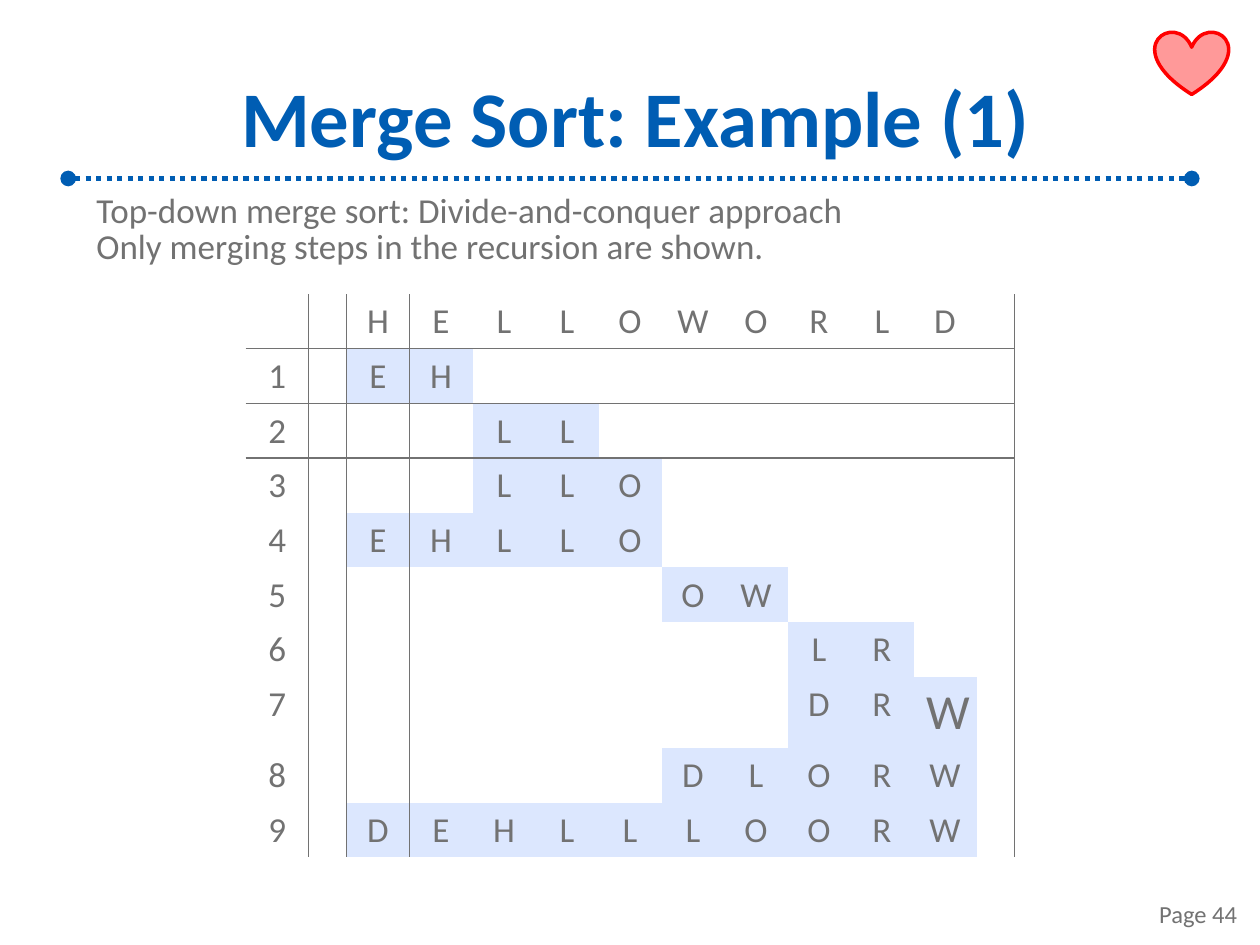
from lxml import etree
from pptx import Presentation, util as u
from pptx.dml.color import RGBColor
from pptx.enum import dml, shapes, text
from pptx.oxml.ns import qn

BLUE = RGBColor(0x00, 0x5D, 0xB3)
GRAY = RGBColor(0x72, 0x72, 0x72)
PALE = RGBColor(0xDC, 0xE7, 0xFE)
PINK = RGBColor(0xFF, 0x99, 0x99)
RED = RGBColor(0xFF, 0x00, 0x00)
FONT = "Calibri"
PLAIN_TABLE = "{2D5ABB26-0587-4C30-8999-92F81FD0307C}"

# The page is a grid of 120 columns by 90 rows
UNIT = u.Inches(1 / 12)
COLUMNS, ROWS = 120, 90

WORD = "HELLOWORLD"
# Each merging step: index of its first letter, and the merged letters
STEPS = [(0, "EH"), (2, "LL"), (2, "LLO"), (0, "EHLLO"), (5, "OW"),
         (7, "LR"), (7, "DRW"), (5, "DLORW"), (0, "DEHLLLOORW")]
FIRST_LETTER = 2  # table column under which the word starts
LARGE_CELL = (7, 11)


def grid(*counts):
    return [round(count * UNIT) for count in counts]


def write(frame, content, size=20, color=GRAY, bold=False,
          align=text.PP_ALIGN.LEFT, spacing=None):
    para = frame.paragraphs[0]
    para.text = content
    para.alignment = align
    para.line_spacing = spacing
    for span in para.runs:
        span.font.name, span.font.size = FONT, u.Pt(size)
        span.font.bold, span.font.color.rgb = bold, color


def add_text(page, place, content, anchor=text.MSO_ANCHOR.TOP, inset=0.1, **style):
    frame = page.shapes.add_textbox(*grid(*place)).text_frame
    frame.word_wrap = True
    frame.vertical_anchor = anchor
    frame.margin_left = frame.margin_right = u.Inches(inset)
    write(frame, content, **style)
    return frame


def add_rule(page, left, right, row):
    """Dotted line with a round dot at each end."""
    rule = page.shapes.add_connector(
        shapes.MSO_CONNECTOR.STRAIGHT, *grid(left, row, right, row))
    rule.line.color.rgb = BLUE
    rule.line.width = u.Pt(3)
    rule.line.dash_style = dml.MSO_LINE.ROUND_DOT
    outline = rule.line._get_or_add_ln()
    for end in ("a:headEnd", "a:tailEnd"):
        etree.SubElement(outline, qn(end), type="oval")
    etree.SubElement(rule._element.spPr, qn("a:effectLst"))


def add_heart(page, place):
    heart = page.shapes.add_shape(shapes.MSO_SHAPE.HEART, *grid(*place))
    heart.shadow.inherit = False
    heart.fill.solid()
    heart.fill.fore_color.rgb = PINK
    heart.line.color.rgb = RED
    heart.line.width = u.Pt(2)


def set_borders(cell, sides):
    """Draw 1 pt borders; sides holds letters out of L, R, T, B."""
    properties = cell._tc.get_or_add_tcPr()
    for position, side in enumerate(side for side in "LRTB" if side in sides):
        border = etree.Element(qn("a:ln" + side), w=str(u.Pt(1)))
        fill = etree.SubElement(border, qn("a:solidFill"))
        etree.SubElement(fill, qn("a:srgbClr"), val=str(GRAY))
        properties.insert(position, border)


def border_sides(row, column, last):
    sides = ""
    if column in (1, 2):
        sides += "L"
    if column in (0, 1, last):
        sides += "R"
    if row in (1, 2):
        sides += "T"
    if row in (0, 1):
        sides += "B"
    return sides


def cell_letters():
    """Map (row, column) to the text shown there."""
    letters = {}
    for row, (start, merged) in enumerate([(0, WORD)] + STEPS):
        if row:
            letters[row, 0] = str(row)
        for column, letter in enumerate(merged, FIRST_LETTER + start):
            letters[row, column] = letter
    return letters


def add_steps_table(page, left, top):
    widths = [6, 3.6] + [6] * len(WORD) + [3.6]
    rows, row_height = len(STEPS) + 1, 4.8
    frame = page.shapes.add_table(
        rows, len(widths), *grid(left, top, sum(widths), rows * row_height))
    table = frame.table
    table.first_row = table.horz_banding = False
    table._tbl.tblPr.find(qn("a:tableStyleId")).text = PLAIN_TABLE
    for column, width in zip(table.columns, grid(*widths)):
        column.width = width
    letters = cell_letters()
    for row in range(rows):
        table.rows[row].height = grid(row_height)[0]
        for column in range(len(widths)):
            cell = table.cell(row, column)
            letter = letters.get((row, column))
            if letter and row and column:
                cell.fill.solid()
                cell.fill.fore_color.rgb = PALE
            else:
                cell.fill.background()
            if letter:
                large = (row, column) == LARGE_CELL
                write(cell.text_frame, letter, size=28 if large else 20,
                      align=text.PP_ALIGN.LEFT if large else text.PP_ALIGN.CENTER)
            set_borders(cell, border_sides(row, column, len(widths) - 1))


def main():
    deck = Presentation()
    deck.slide_width, deck.slide_height = grid(COLUMNS, ROWS)
    page = deck.slides.add_slide(deck.slide_layouts[6])

    # Heading
    add_rule(page, 6.5, COLUMNS - 6.5, 17)
    add_text(page, (8, 5, 105, 12.1), "Merge Sort: Example (1)",
             anchor=text.MSO_ANCHOR.MIDDLE, inset=0.04, size=45, color=BLUE,
             bold=True, align=text.PP_ALIGN.CENTER)

    # Page number
    add_text(page, (91, 82.8, 28, 6.2), "Page 44", size=14,
             anchor=text.MSO_ANCHOR.BOTTOM, align=text.PP_ALIGN.RIGHT)

    # Merging steps and their introduction
    add_steps_table(page, 23.4, 28)
    intro = add_text(page, (8, 18, 77, 8),
                     "Top-down merge sort: Divide-and-conquer approach\v"
                     "Only merging steps in the recursion are shown.", spacing=0.85)
    intro.auto_size = text.MSO_AUTO_SIZE.SHAPE_TO_FIT_TEXT

    # Corner mark
    add_heart(page, (110, 3, 7, 6))

    deck.save("out.pptx")


if __name__ == "__main__":
    main()
